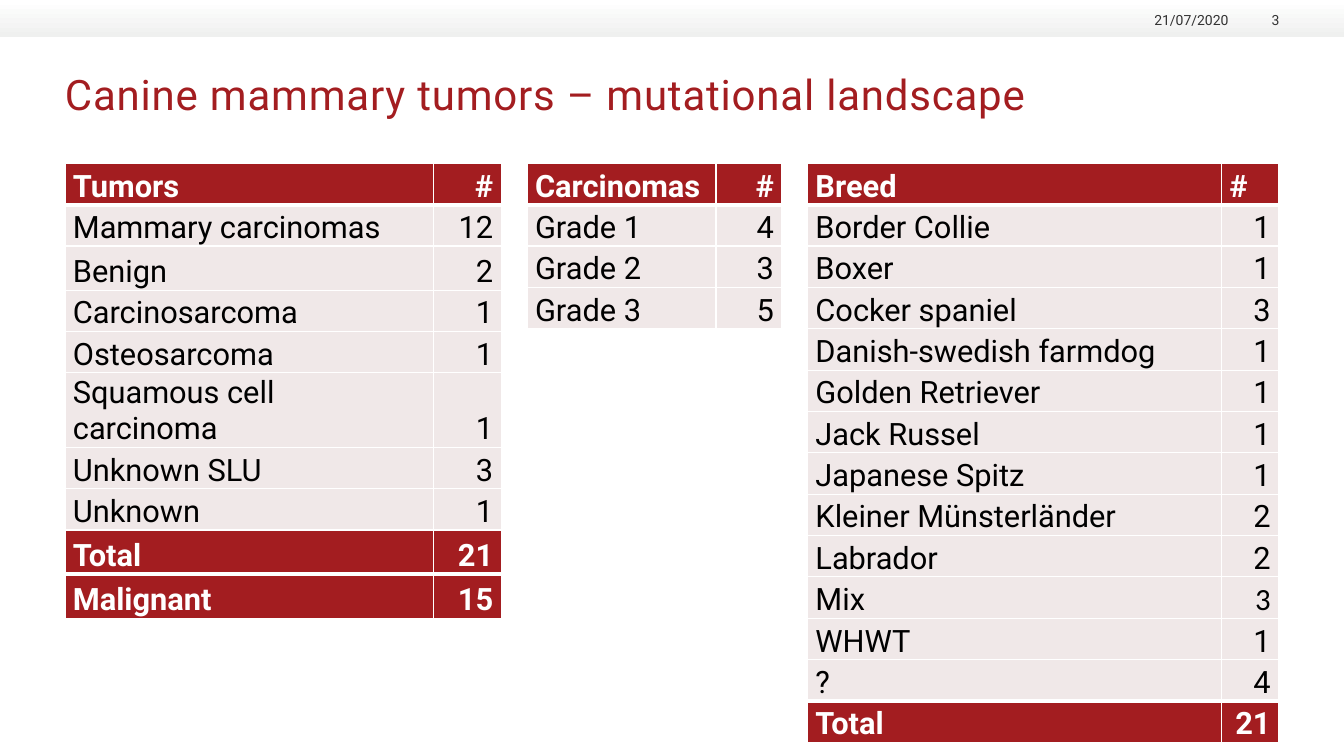
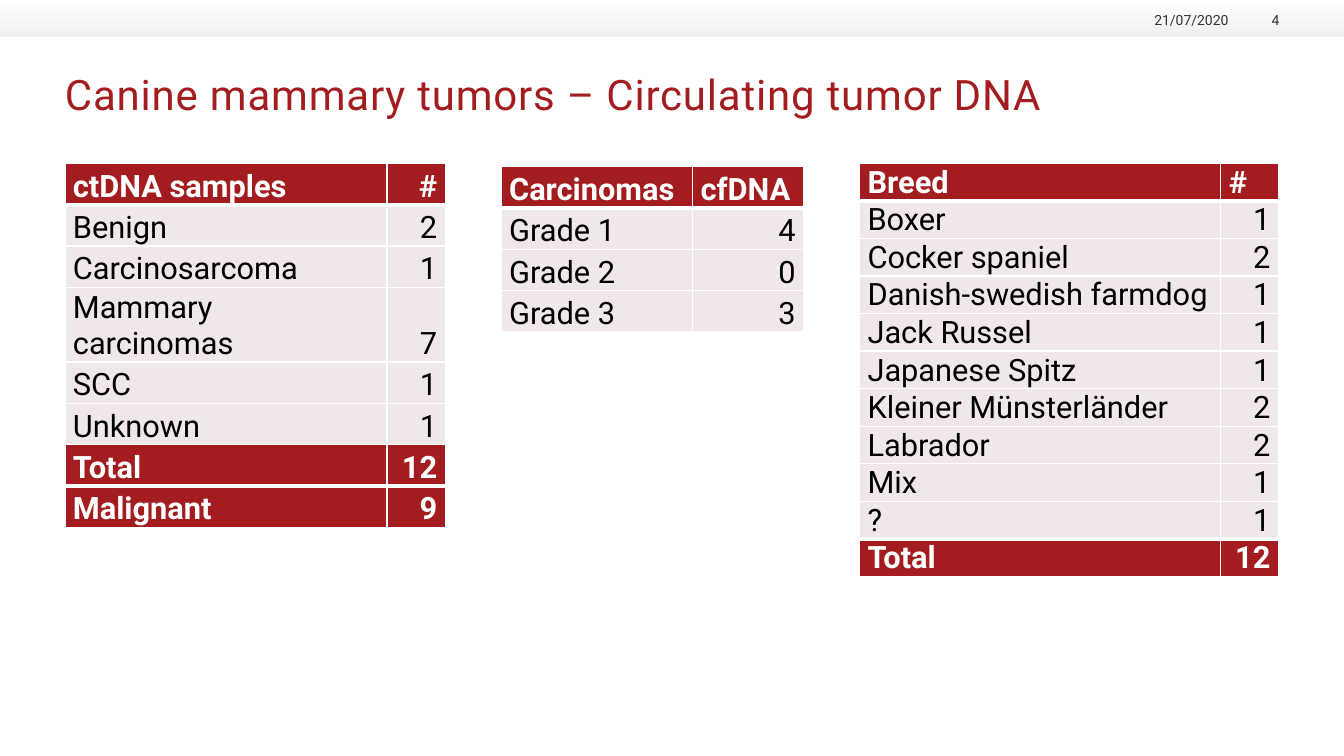
from pptx import Presentation
from pptx.dml.color import RGBColor
from pptx.enum.shapes import MSO_SHAPE
from pptx.enum.text import MSO_ANCHOR, PP_ALIGN
from pptx.oxml.ns import qn
from pptx.util import Pt
from lxml.etree import SubElement

COLORS = {
    "red": "A31D20",
    "pale": "F0E8E8",
    "white": "FFFFFF",
    "black": "000000",
    "gray": "333333",
    "band": "EFF0EF",
}


class Deck:
    font_name = "Roboto"
    left_margin = 46.4
    content_width = 867
    table_top = 116.7
    row_height = 29.55

    def __init__(self):
        self.presentation = Presentation()
        self.presentation.slide_width = Pt(960)
        self.presentation.slide_height = Pt(540)
        self.layout = self.presentation.slide_layouts[5]
        for placeholder in list(self.layout.placeholders)[1:]:
            self.layout.shapes.element.remove(placeholder.element)
        self.slide = None

    def color(self, name):
        return RGBColor.from_string(COLORS[name])

    def style(self, paragraph, size, color, bold=False, alignment=PP_ALIGN.LEFT):
        paragraph.alignment = alignment
        font = paragraph.font
        font.name = self.font_name
        font.size = Pt(size)
        font.bold = bold
        font.color.rgb = self.color(color)

    def clear_margins(self, frame):
        frame.margin_left = frame.margin_right = Pt(0)
        frame.margin_top = frame.margin_bottom = Pt(0)
        frame.word_wrap = True

    def add_slide(self, title, number):
        self.slide = self.presentation.slides.add_slide(self.layout)
        self.add_band()
        self.format_title(title)
        self.add_header_text("21/07/2020", 813.5, 64)
        self.add_header_text(str(number), 883.5, 30.3)

    def add_band(self):
        band = self.slide.shapes.add_shape(
            MSO_SHAPE.RECTANGLE, Pt(0), Pt(0), Pt(960), Pt(26.3))
        band.shadow.inherit = False
        band.line.fill.background()
        band.fill.gradient()
        band.fill.gradient_angle = 270
        for stop, name in zip(band.fill.gradient_stops, ("white", "band")):
            stop.color.rgb = self.color(name)

    def format_title(self, text):
        title = self.slide.shapes.title
        title.left, title.top = Pt(self.left_margin), Pt(49)
        title.width, title.height = Pt(self.content_width), Pt(68)
        frame = title.text_frame
        self.clear_margins(frame)
        frame.vertical_anchor = MSO_ANCHOR.TOP
        frame.text = text
        paragraph = frame.paragraphs[0]
        self.style(paragraph, 30, "red")
        paragraph.runs[0].font._element.set("spc", "60")

    def add_header_text(self, text, left, width):
        box = self.slide.shapes.add_textbox(Pt(left), Pt(7), Pt(width), Pt(13.5))
        frame = box.text_frame
        self.clear_margins(frame)
        frame.vertical_anchor = MSO_ANCHOR.BOTTOM
        frame.text = text
        self.style(frame.paragraphs[0], 10, "gray", alignment=PP_ALIGN.RIGHT)

    def add_border(self, cell, tag, width):
        properties = cell._tc.get_or_add_tcPr()
        line = SubElement(properties, qn(f"a:{tag}"), w=str(Pt(width)))
        fill = SubElement(line, qn("a:solidFill"))
        SubElement(fill, qn("a:srgbClr"), val=COLORS["white"])

    def format_cell(self, cell, text, strong, alignment, top_width, bottom_width):
        cell.margin_left = cell.margin_right = Pt(5.7)
        cell.margin_top, cell.margin_bottom = Pt(0.4), Pt(0)
        cell.vertical_anchor = MSO_ANCHOR.BOTTOM
        cell.text = text
        self.style(cell.text_frame.paragraphs[0], 22,
                   "white" if strong else "black", strong, alignment)
        widths = {"lnL": 1, "lnR": 1, "lnT": top_width, "lnB": bottom_width}
        for tag, width in widths.items():
            self.add_border(cell, tag, width)
        cell.fill.solid()
        cell.fill.fore_color.rgb = self.color("red" if strong else "pale")

    def add_table(self, rows, left, column_widths, total_rows=0, top=table_top,
                  row_height=row_height, special_heights=None,
                  header_alignment=PP_ALIGN.RIGHT):
        count = len(rows)
        heights = [row_height] * count
        for index, height in (special_heights or {}).items():
            heights[index] = height
        table = self.slide.shapes.add_table(
            count, 2, Pt(left), Pt(top),
            Pt(sum(column_widths)), Pt(sum(heights))).table
        table.horz_banding = False
        for column, width in zip(table.columns, column_widths):
            column.width = Pt(width)
        thick_edges = {1, count - 1} if total_rows else {1}
        for index, values in enumerate(rows):
            table.rows[index].height = Pt(heights[index])
            strong = index == 0 or index >= count - total_rows
            alignments = (PP_ALIGN.LEFT, PP_ALIGN.RIGHT if index else header_alignment)
            top_width, bottom_width = (
                3 if edge in thick_edges else 1 for edge in (index, index + 1))
            for column, text in enumerate(values):
                self.format_cell(table.cell(index, column), text, strong,
                                 alignments[column], top_width, bottom_width)
        return table


TUMORS = [
    ("Tumors", "#"), ("Mammary carcinomas", "12"), ("Benign", "2"),
    ("Carcinosarcoma", "1"), ("Osteosarcoma", "1"),
    ("Squamous cell carcinoma", "1"), ("Unknown SLU", "3"), ("Unknown", "1"),
    ("Total", "21"), ("Malignant", "15"),
]
TUMOR_GRADES = [
    ("Carcinomas", "#"), ("Grade 1", "4"), ("Grade 2", "3"), ("Grade 3", "5"),
]
TUMOR_BREEDS = [
    ("Breed", "#"), ("Border Collie", "1"), ("Boxer", "1"),
    ("Cocker spaniel", "3"), ("Danish-swedish farmdog", "1"),
    ("Golden Retriever", "1"), ("Jack Russel", "1"), ("Japanese Spitz", "1"),
    ("Kleiner Münsterländer", "2"), ("Labrador", "2"), ("Mix", "3"),
    ("WHWT", "1"), ("?", "4"), ("Total", "21"),
]
DNA_SAMPLES = [
    ("ctDNA samples", "#"), ("Benign", "2"), ("Carcinosarcoma", "1"),
    ("Mammary carcinomas", "7"), ("SCC", "1"), ("Unknown", "1"),
    ("Total", "12"), ("Malignant", "9"),
]
DNA_GRADES = [
    ("Carcinomas", "cfDNA"), ("Grade 1", "4"), ("Grade 2", "0"), ("Grade 3", "3"),
]
DNA_BREEDS = [
    ("Breed", "#"), ("Boxer", "1"), ("Cocker spaniel", "2"),
    ("Danish-swedish farmdog", "1"), ("Jack Russel", "1"),
    ("Japanese Spitz", "1"), ("Kleiner Münsterländer", "2"),
    ("Labrador", "2"), ("Mix", "1"), ("?", "1"), ("Total", "12"),
]


def main():
    deck = Deck()

    deck.add_slide("Canine mammary tumors – mutational landscape", 3)
    deck.add_table(TUMORS, deck.left_margin, (263, 48.6), total_rows=2,
                   special_heights={2: 31.5, 5: 51.5, 8: 31.5, 9: 31.5})
    deck.add_table(TUMOR_GRADES, 376.5, (135, 47))
    breeds = deck.add_table(TUMOR_BREEDS, 576.8, (295.7, 40.8), total_rows=1,
                            header_alignment=PP_ALIGN.LEFT)
    mix_count = breeds.cell(10, 1).text_frame.paragraphs[0]
    mix_count.font.name = "Calibri"

    deck.add_slide("Canine mammary tumors – Circulating tumor DNA", 4)
    deck.add_table(DNA_SAMPLES, deck.left_margin, (230, 41.6), total_rows=2,
                   special_heights={3: 51.5})
    deck.add_table(DNA_GRADES, 358, (136.8, 79.2), top=119,
                   header_alignment=PP_ALIGN.LEFT)
    deck.add_table(DNA_BREEDS, 614, (258, 41.2), total_rows=1, row_height=26.5,
                   header_alignment=PP_ALIGN.LEFT)

    deck.presentation.save("out.pptx")


if __name__ == "__main__":
    main()
